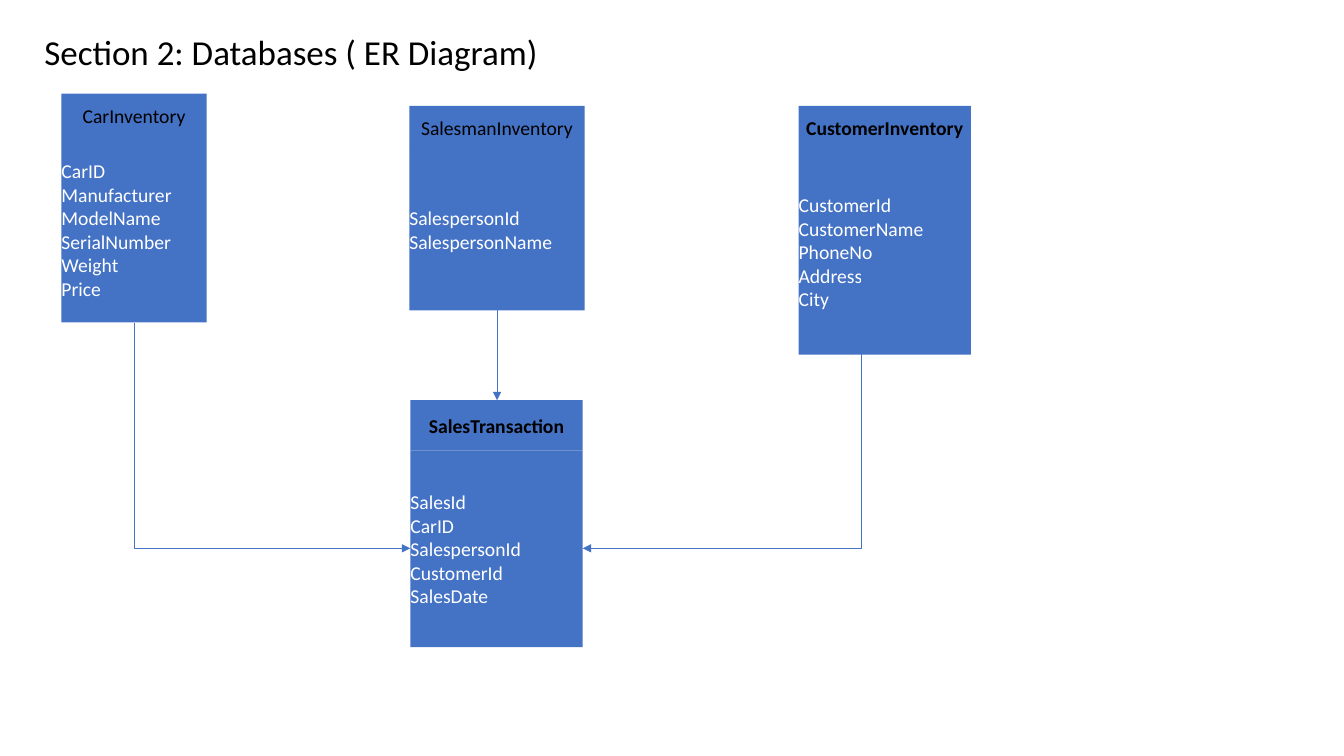
from lxml import etree
from pptx import Presentation
from pptx.dml.color import RGBColor
from pptx.enum.shapes import MSO_CONNECTOR as Connector, MSO_SHAPE as Shape
from pptx.enum.text import MSO_ANCHOR as Anchor, MSO_AUTO_SIZE as AutoSize, PP_ALIGN as Align
from pptx.oxml.ns import qn
from pptx.util import Inches, Pt

COLORS = {"box": "4472C4", "heading": "000000", "field": "FFFFFF"}


def add_run(paragraph, text, size, color, bold=False):
    run = paragraph.add_run()
    run.text = text
    run.font.name = "Calibri"
    run.font.size = Pt(size)
    run.font.bold = bold
    run.font.color.rgb = RGBColor.from_string(COLORS[color])


def style_arrow(connector):
    connector.line.color.rgb = RGBColor.from_string(COLORS["box"])
    connector.line.width = Pt(0.5)
    properties = connector._element.spPr
    etree.SubElement(properties.find(qn("a:ln")), qn("a:tailEnd"), type="triangle")
    etree.SubElement(properties, qn("a:effectLst"))


presentation = Presentation()
presentation.slide_width = Inches(13.33)
presentation.slide_height = Inches(7.5)
slide = presentation.slides.add_slide(presentation.slide_layouts[5])

title = slide.shapes.title
title.left, title.top = Inches(0.27), Inches(0.25)
title.width, title.height = Inches(6.86), Inches(0.52)
title_frame = title.text_frame
title_frame.word_wrap = True
title_frame.auto_size = AutoSize.SHAPE_TO_FIT_TEXT
title_frame.vertical_anchor = Anchor.TOP
title_frame.margin_left = Inches(0.17)
title_frame.paragraphs[0].alignment = Align.LEFT
add_run(title_frame.paragraphs[0], "Section 2: Databases ( ER Diagram)", 25, "heading")

entities = [
    ("SalesTransaction", True, 4.07, 3.97, 1.71, 0.5, 1.95,
     ["SalesId", "CarID", "SalespersonId", "CustomerId", "SalesDate"]),
    ("SalesmanInventory", False, 4.06, 1.05, 1.74, 0.43, 1.6,
     ["SalespersonId", "SalespersonName"]),
    ("CustomerInventory", True, 7.92, 1.05, 1.71, 0.43, 2.04,
     ["CustomerId", "CustomerName", "PhoneNo", "Address", "City"]),
    ("CarInventory", False, 0.61, 0.93, 1.44, 0.43, 1.84,
     ["CarID", "Manufacturer", "ModelName", "SerialNumber", "Weight", "Price"]),
]

for name, bold, left, top, width, heading_height, body_height, fields in entities:
    parts = [
        (top, heading_height, [name], "heading", bold, Align.CENTER),
        (top + heading_height, body_height, fields, "field", False, Align.LEFT),
    ]
    for part_top, height, lines, color, part_bold, alignment in parts:
        box = slide.shapes.add_shape(
            Shape.RECTANGLE, Inches(left), Inches(part_top), Inches(width), Inches(height))
        box.shadow.inherit = False
        box.fill.solid()
        box.fill.fore_color.rgb = RGBColor.from_string(COLORS["box"])
        box.line.fill.background()
        frame = box.text_frame
        frame.word_wrap = True
        frame.vertical_anchor = Anchor.MIDDLE
        frame.margin_left = frame.margin_right = frame.margin_top = frame.margin_bottom = 0
        for index, line in enumerate(lines):
            paragraph = frame.add_paragraph() if index else frame.paragraphs[0]
            paragraph.alignment = alignment
            add_run(paragraph, line, 14, color, part_bold)

salesman_arrow = slide.shapes.add_connector(
    Connector.STRAIGHT, Inches(4.93), Inches(3.08), Inches(4.93), Inches(3.97))
style_arrow(salesman_arrow)

for start_x, start_y, end_x, end_y in [(1.33, 3.2, 4.07, 5.44), (8.54, 2.46, 5.78, 5.44)]:
    center_x, center_y = (start_x + end_x) / 2, (start_y + end_y) / 2
    side = 1 if start_x > end_x else -1
    half_run = side * (end_y - start_y) / 2
    half_rise = abs(end_x - start_x) / 2
    elbow = slide.shapes.add_connector(
        Connector.ELBOW,
        Inches(center_x - half_run), Inches(center_y - half_rise),
        Inches(center_x + half_run), Inches(center_y + half_rise))
    properties = elbow._element.spPr
    properties.find(qn("a:xfrm")).set("rot", str(side * 90 % 360 * 60000))
    properties.find(qn("a:prstGeom")).set("prst", "bentConnector2")
    style_arrow(elbow)

presentation.save("out.pptx")
